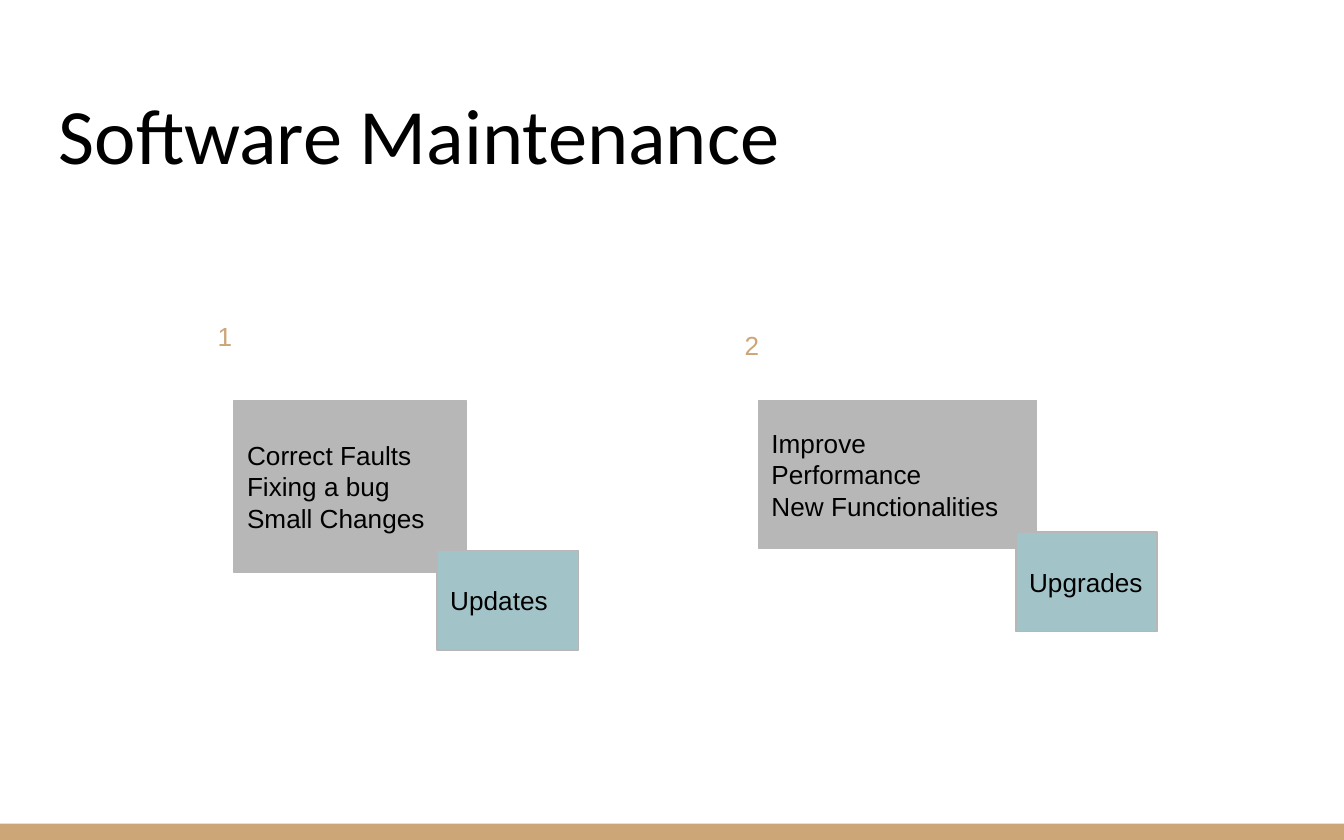
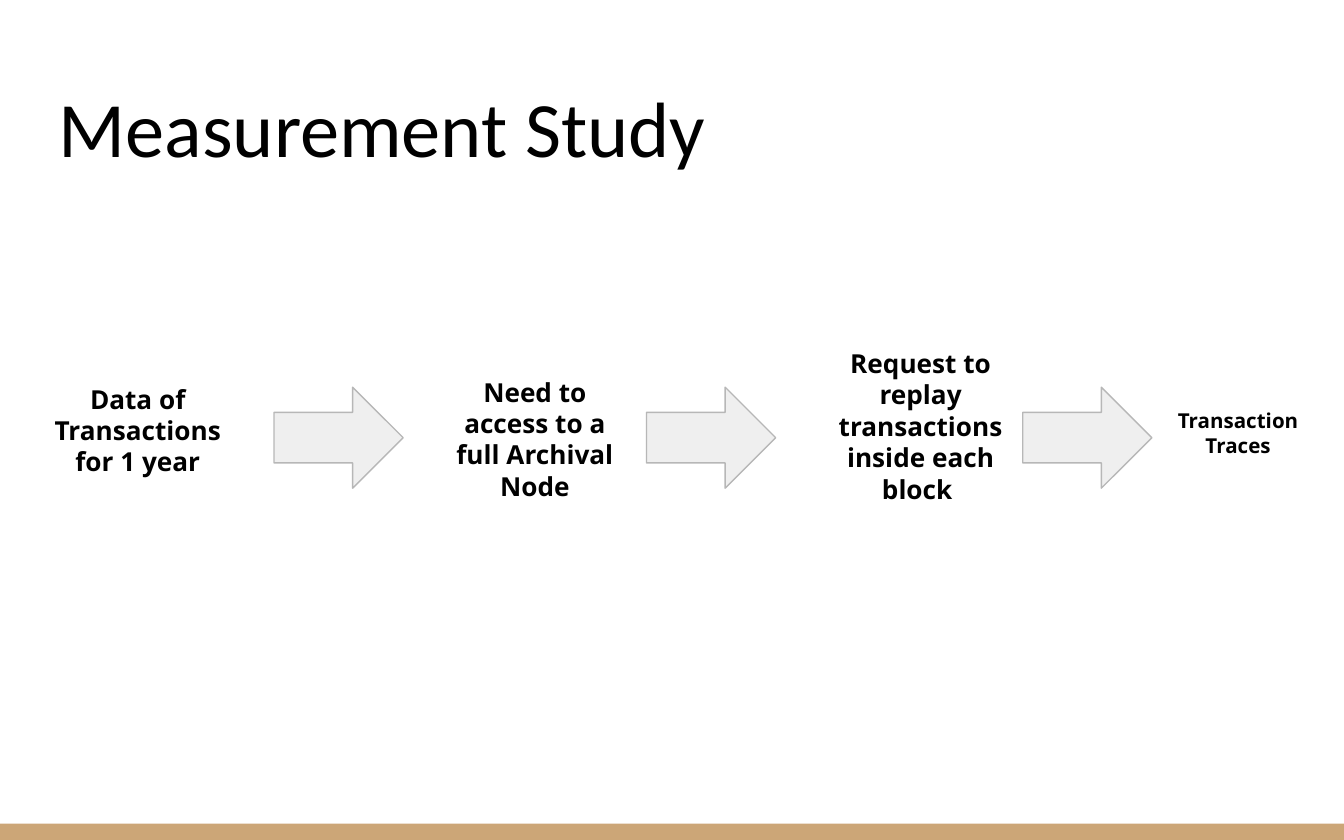
from pptx import Presentation
from pptx.dml.color import RGBColor
from pptx.enum.shapes import MSO_SHAPE
from pptx.enum.text import MSO_ANCHOR, MSO_AUTO_SIZE, PP_ALIGN
from pptx.util import Cm, Pt

BLACK = RGBColor(0x00, 0x00, 0x00)
SAND = RGBColor(0xCC, 0xA6, 0x77)
GRAY = RGBColor(0xB7, 0xB7, 0xB7)
LIGHT_GRAY = RGBColor(0xEF, 0xEF, 0xEF)
TEAL = RGBColor(0xA2, 0xC4, 0xC9)

WIDTH, HEIGHT = 25.4, 15.88
BAND_HEIGHT = 0.31
INSET = 0.25


def format_text(tf, font, size, color=BLACK, bold=False, align=PP_ALIGN.LEFT):
    """Wrap the text and format every paragraph and run."""
    tf.word_wrap = True
    for p in tf.paragraphs:
        p.alignment = align
        for r in p.runs:
            r.font.name = font
            r.font.size = Pt(size)
            r.font.bold = bold
            r.font.color.rgb = color


def set_insets(tf, inset=INSET):
    """Set the same inset on all four sides."""
    tf.margin_left = tf.margin_top = tf.margin_right = tf.margin_bottom = Cm(inset)


def add_block(slide, kind, x, y, w, h, fill, line=GRAY):
    """Add a flat preset shape with a thin outline, or none."""
    sp = slide.shapes.add_shape(kind, Cm(x), Cm(y), Cm(w), Cm(h))
    sp.shadow.inherit = False
    sp.fill.solid()
    sp.fill.fore_color.rgb = fill
    if line is None:
        sp.line.fill.background()
    else:
        sp.line.color.rgb = line
        sp.line.width = Pt(0.75)
    return sp


def add_box(slide, text, x, y, w, h, fill):
    """Add a filled box with left-aligned text."""
    tf = add_block(slide, MSO_SHAPE.RECTANGLE, x, y, w, h, fill).text_frame
    tf.text = text
    tf.vertical_anchor = MSO_ANCHOR.MIDDLE
    set_insets(tf)
    format_text(tf, "Arial", 14)


def add_label(slide, text, x, y, w, h, font, size, color=BLACK, bold=False):
    """Add a centred text box and return its text frame."""
    tf = slide.shapes.add_textbox(Cm(x), Cm(y), Cm(w), Cm(h)).text_frame
    tf.text = text
    format_text(tf, font, size, color, bold, PP_ALIGN.CENTER)
    return tf


def add_step(slide, text, x, y, w, h, size=14):
    """Add one bold step of the process."""
    tf = add_label(slide, text, x, y, w, h, "Open Sans", size, bold=True)
    set_insets(tf)
    tf.auto_size = MSO_AUTO_SIZE.SHAPE_TO_FIT_TEXT


def add_titled_slide(prs, title, top):
    """Add a title-only slide with its title placed and formatted."""
    slide = prs.slides.add_slide(prs.slide_layouts[5])
    sp = slide.shapes.title
    sp.left, sp.top, sp.width, sp.height = Cm(0.86), Cm(top), Cm(23.67), Cm(2.57)
    tf = sp.text_frame
    tf.text = title
    tf.vertical_anchor = MSO_ANCHOR.BOTTOM
    tf.auto_size = MSO_AUTO_SIZE.NONE
    set_insets(tf)
    tf.margin_bottom = Cm(0.13)
    format_text(tf, "Calibri", 42)
    return slide


def add_layout_band(slide):
    """Move a bottom band to the layout that the slides share."""
    layout = slide.slide_layout
    for sp in list(layout.placeholders)[1:]:
        layout.shapes.element.remove(sp.element)
    band = add_block(slide, MSO_SHAPE.RECTANGLE, 0, HEIGHT - BAND_HEIGHT,
                     WIDTH, BAND_HEIGHT, SAND, line=None)
    layout.shapes.element.append(band.element)


def build_maintenance(slide):
    """Show the two kinds of maintenance and their results."""
    add_box(slide, "Improve Performance\vNew Functionalities",
            14.33, 7.57, 5.26, 2.79, GRAY)
    add_label(slide, "2", 13.51, 6.1, 1.4, 1.98, "Arial", 14, SAND)
    add_box(slide, "Correct Faults\vFixing a bug\nSmall Changes",
            4.42, 7.57, 4.39, 3.25, GRAY)
    add_label(slide, "1", 3.73, 5.94, 1.04, 2.26, "Arial", 14, SAND)
    for text, x, y in (("Updates", 8.26, 10.41), ("Upgrades", 19.2, 10.06)):
        add_box(slide, text, x, y, 2.67, 1.88, TEAL)


def build_study(slide):
    """Show the steps of the study with arrows between them."""
    for x in (5.18, 12.22, 19.33):
        add_block(slide, MSO_SHAPE.RIGHT_ARROW, x, 7.32, 2.44, 1.91, LIGHT_GRAY)
    add_step(slide, "Data of Transactions for 1 year", 0.56, 6.99, 4.09, 2.31)
    add_step(slide, "Need to access to a full Archival Node", 8.18, 6.86, 3.86, 2.9)
    add_step(slide, "Request to replay transactions inside each block ",
             15.47, 6.32, 3.86, 3.51)
    add_step(slide, "Transaction\vTraces", 21.89, 7.47, 3.02, 1.45, size=11)


def main():
    """Build and save the presentation."""
    prs = Presentation()
    prs.slide_width, prs.slide_height = Cm(WIDTH), Cm(HEIGHT)
    maintenance = add_titled_slide(prs, "Software Maintenance", 0.97)
    add_layout_band(maintenance)
    build_maintenance(maintenance)
    build_study(add_titled_slide(prs, "Measurement Study", 0.84))
    prs.save("out.pptx")


if __name__ == "__main__":
    main()
